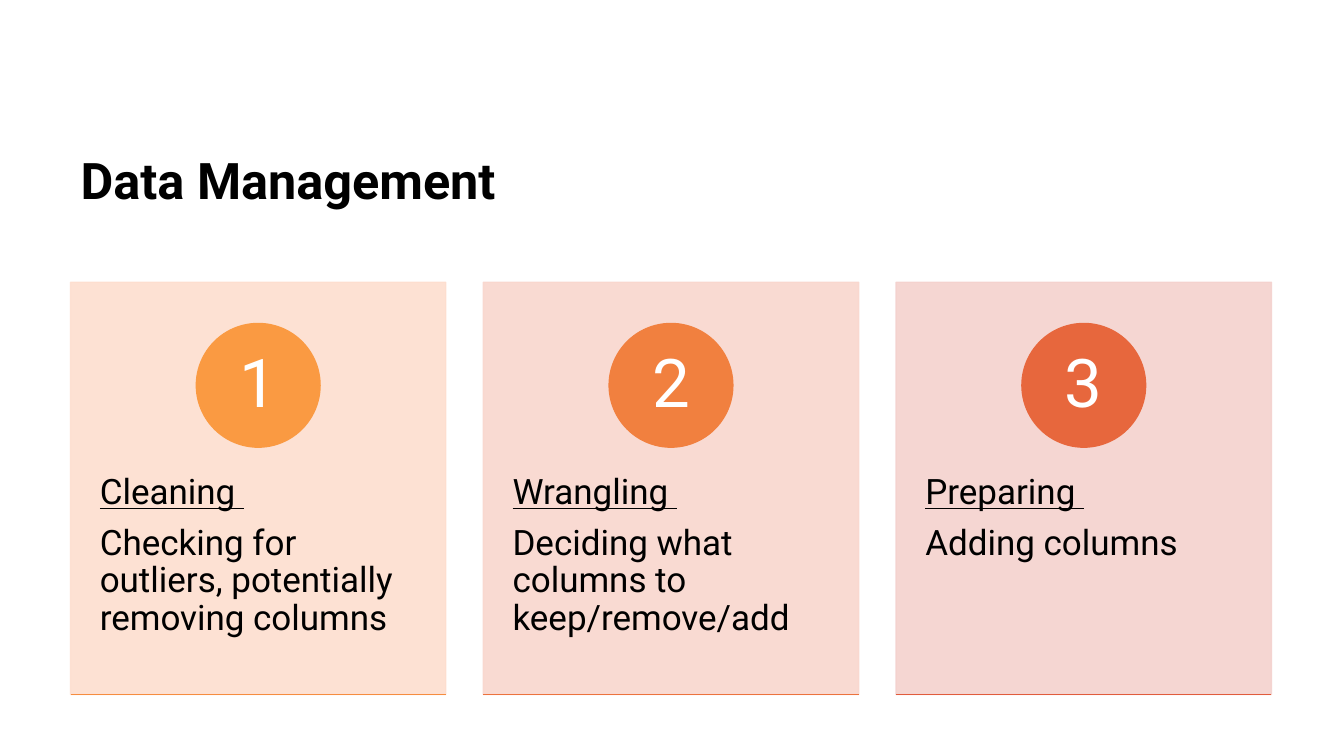
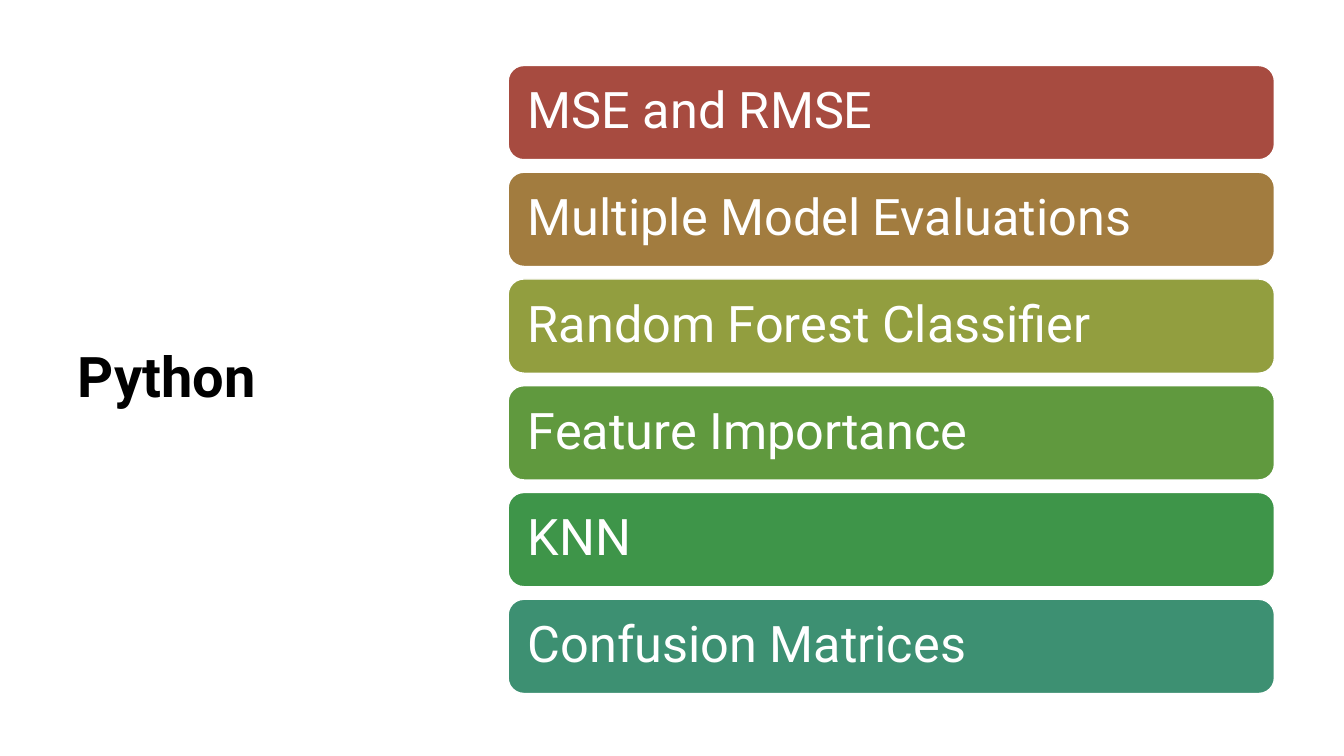
from lxml import etree
from pptx import Presentation
from pptx import util as u
from pptx.dml.color import RGBColor
from pptx.enum import shapes, text
from pptx.oxml.ns import qn

FONT = "Roboto"
BLACK, WHITE = "000000", "FFFFFF"
CARDS = [
    ("Cleaning ", "Checking for outliers, potentially removing columns",
     "FDDECF", "FA9A42", "F68D40"),
    ("Wrangling ", "Deciding what columns to keep/remove/add",
     "F9D7CE", "F1803F", "EC733E"),
    ("Preparing ", "Adding columns",
     "F4D2CE", "E7673D", "E15C3D"),
]
BARS = [
    ("MSE and RMSE", "A74B40"),
    ("Multiple Model Evaluations", "A27C3F"),
    ("Random Forest Classifier", "929E3F"),
    ("Feature Importance", "60993E"),
    ("KNN", "3E9549"),
    ("Confusion Matrices", "3D9072"),
]


def paint(fmt, color, alpha=None):
    fmt.solid()
    fmt.fore_color.rgb = RGBColor.from_string(color)
    if alpha:
        clr = fmt._xPr.find(qn("a:solidFill"))[0]
        etree.SubElement(clr, qn("a:alpha"), val=str(alpha * 1000))


def inches(*values):
    return [u.Inches(v) for v in values]


def spread(start, total, size, count):
    step = (total - size) / (count - 1)
    return [start + i * step for i in range(count)]


def write(tf, content, size, color=BLACK, bold=False, underline=False,
          align=text.PP_ALIGN.LEFT, anchor=text.MSO_ANCHOR.MIDDLE,
          insets=(0.1, 0.05, 0.1, 0.05), after=0, add=False):
    tf.word_wrap = True
    tf.auto_size = text.MSO_AUTO_SIZE.NONE
    tf.vertical_anchor = anchor
    tf.margin_left, tf.margin_top, tf.margin_right, tf.margin_bottom = inches(*insets)
    p = tf.add_paragraph() if add else tf.paragraphs[0]
    p.alignment, p.line_spacing, p.space_after = align, 0.9, u.Pt(after)
    r = p.add_run()
    r.text = content
    r.font.name, r.font.size = FONT, u.Pt(size)
    r.font.bold, r.font.underline = bold, underline
    paint(r.font.fill, color)


def shape(s, kind, box, fill, line=None, alpha=None):
    sp = s.shapes.add_shape(kind, *inches(*box))
    sp.shadow.inherit = False
    paint(sp.fill, fill, alpha)
    paint(sp.line.fill, line or fill, alpha)
    sp.line.width = u.Pt(1)
    return sp


def rule(s, x, y, w, color):
    cx = s.shapes.add_connector(shapes.MSO_CONNECTOR.STRAIGHT, *inches(x, y, x + w, y))
    paint(cx.line.fill, color)
    cx.line.width = u.Pt(1)
    etree.SubElement(cx._element.spPr, qn("a:effectLst"))


def titled_slide(prs, title, box, size, anchor):
    s = prs.slides.add_slide(prs.slide_layouts[5])
    sp = s.shapes.title
    sp.left, sp.top, sp.width, sp.height = inches(*box)
    write(sp.text_frame, title, size, bold=True, anchor=anchor)
    return s


def card(s, box, number, heading, body, panel, disc, base):
    x, y, w, h = box
    sp = shape(s, shapes.MSO_SHAPE.RECTANGLE, box, panel, alpha=90)
    style = dict(anchor=text.MSO_ANCHOR.TOP, after=8.75,
                 insets=(0.29, h * 0.467, 0.29, 0.36))
    write(sp.text_frame, heading, 25, underline=True, **style)
    write(sp.text_frame, body, 25, add=True, **style)
    d = h * 0.3
    sp = shape(s, shapes.MSO_SHAPE.OVAL, (x + (w - d) / 2, y + h * 0.1, d, d), disc)
    write(sp.text_frame, str(number), 48, WHITE, align=text.PP_ALIGN.CENTER,
          insets=(0.1, 0.01, 0.1, 0.01))
    rule(s, x, y + h, w, base)


def card_row(s, box, cards):
    x, y, w, h = box
    cw = w * 0.3125
    for i, (cx, parts) in enumerate(zip(spread(x, w, cw, len(cards)), cards), 1):
        card(s, (cx, y, cw, h), i, *parts)


def bar_stack(s, box, bars):
    x, y, w, h = box
    bh = h * 0.15
    for by, (label, color) in zip(spread(y, h, bh, len(bars)), bars):
        sp = shape(s, shapes.MSO_SHAPE.ROUNDED_RECTANGLE, (x, by, w, bh), color, WHITE)
        write(sp.text_frame, label, 36, WHITE, insets=(0.15,) * 4)


def main():
    prs = Presentation()
    prs.slide_width, prs.slide_height = inches(13.33, 7.5)
    s = titled_slide(prs, "Data Management", (0.7, 0.62, 11.91, 1.52), 36,
                     text.MSO_ANCHOR.BOTTOM)
    card_row(s, (0.7, 2.8, 11.91, 4.09), CARDS)
    s = titled_slide(prs, "Python", (0.67, 0.6, 3.82, 6.33), 40,
                     text.MSO_ANCHOR.MIDDLE)
    bar_stack(s, (5.04, 0.65, 7.6, 6.23), BARS)
    prs.save("out.pptx")


if __name__ == "__main__":
    main()
